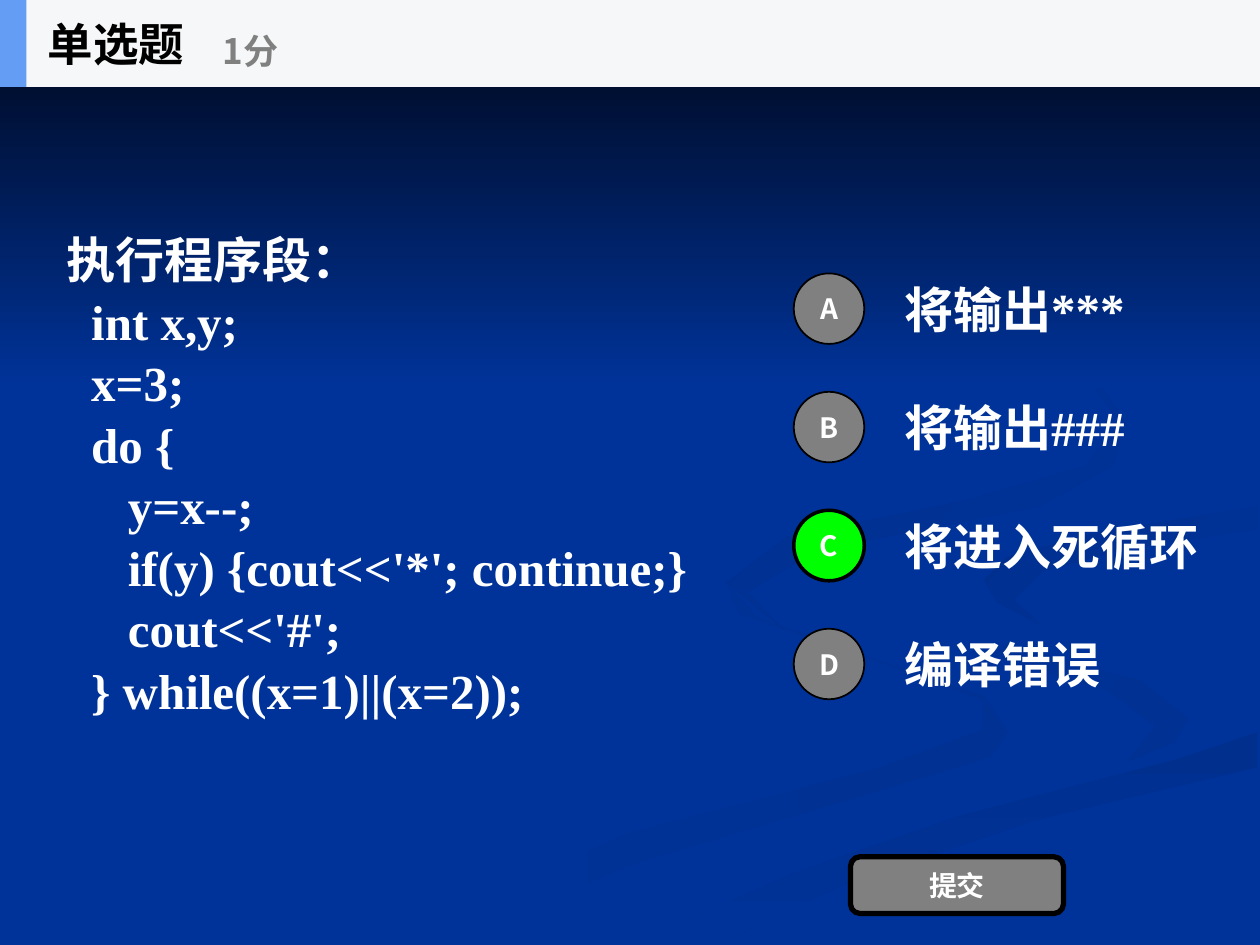
"""Build a single-choice quiz slide about a C++ do-while loop."""
from dataclasses import dataclass

from lxml.etree import SubElement
from pptx import Presentation
from pptx.dml.color import RGBColor
from pptx.enum.shapes import MSO_SHAPE as Preset
from pptx.enum.text import MSO_ANCHOR as Anchor, MSO_AUTO_SIZE as AutoSize, PP_ALIGN as Align
from pptx.oxml.ns import qn
from pptx.util import Inches, Pt

COLORS = {
    "background": "003399", "night": "000514", "shade": "002F8E",
    "mist": "003193", "white": "FFFFFF", "black": "000000", "gray": "808080",
    "correct": "00FF00", "header": "F6F7F8", "accent": "639EF4",
}
SANS, SERIF = "Noto Sans CJK SC", "Times New Roman"

CODE = [
    "执行程序段：",
    "  int x,y;",
    "  x=3;",
    "  do {",
    "     y=x--;",
    "     if(y) {cout<<'*'; continue;}",
    "     cout<<'#';",
    "  } while((x=1)||(x=2));",
]


@dataclass
class Option:
    letter: str
    answer: str
    correct: bool = False


@dataclass
class Style:
    size: float
    color: str
    font: str = SANS
    align: Align = Align.LEFT


@dataclass
class Ribbon:
    """A curved band, with its outline in hundredths of an inch."""
    start: str
    end: str
    angle: int
    outline: list[tuple[int, int]]


OPTIONS = [Option("A", "将输出***"), Option("B", "将输出###"),
           Option("C", "将进入死循环", True), Option("D", "编译错误")]
CODE_STYLE = Style(28, "white", SERIF)
BUTTON_STYLE = Style(16, "white", align=Align.CENTER)

RIBBONS = [
    Ribbon("background", "mist", 0, [
        (781, 553), (682, 519), (602, 490), (575, 459), (586, 487), (697, 525),
        (781, 556), (780, 579), (699, 609), (499, 661), (300, 749), (361, 749),
        (499, 687), (676, 634), (786, 601), (800, 581)]),
    Ribbon("background", "mist", 45, [
        (943, 570), (905, 540), (792, 509), (733, 483), (724, 464), (733, 488),
        (781, 518), (880, 549), (917, 576), (894, 605), (932, 589)]),
    Ribbon("shade", "background", 90, [
        (503, 749), (571, 749), (670, 702), (821, 651), (998, 609),
        (998, 581), (936, 602), (764, 647), (630, 693)]),
    Ribbon("shade", "background", 45, [
        (781, 460), (791, 478), (826, 496), (805, 476), (828, 453),
        (896, 435), (998, 420), (998, 402), (865, 424), (799, 442)]),
    Ribbon("shade", "background", 45, [
        (683, 430), (825, 402), (883, 370), (893, 335), (864, 291), (762, 233),
        (846, 279), (889, 335), (861, 370), (763, 398), (625, 426), (577, 462),
        (622, 500), (593, 470), (649, 436)]),
    Ribbon("night", "background", 90, [(0, 0), (0, 308), (1000, 308), (1000, 0)]),
]


def rgb(name: str) -> RGBColor:
    return RGBColor.from_string(COLORS[name])


def draw_ribbon(page, ribbon: Ribbon) -> None:
    builder = page.shapes.build_freeform(*ribbon.outline[0], scale=Inches(0.01))
    builder.add_line_segments(ribbon.outline[1:], close=True)
    shape = builder.convert_to_shape()
    shape.shadow.inherit = False
    shape.line.fill.background()
    shape.fill.gradient()
    shape.fill.gradient_angle = (360 - ribbon.angle) % 360
    for stop, color, position in zip(shape.fill.gradient_stops, (ribbon.start, ribbon.end), (0, 1)):
        stop.color.rgb = rgb(color)
        stop.position = position


def write(box, lines: list[str], style: Style) -> None:
    frame = box.text_frame
    frame.text = "\n".join(lines)
    frame.word_wrap = True
    frame.auto_size = AutoSize.NONE
    frame.vertical_anchor = Anchor.MIDDLE
    for index, para in enumerate(frame.paragraphs):
        para.alignment = style.align
        para.space_before = Pt(1.5 if index else 0)
        for span in para.runs:
            span.font.size = Pt(style.size)
            span.font.bold = True
            span.font.color.rgb = rgb(style.color)
            span.font.name = style.font
            SubElement(span.font._element, qn("a:ea"), typeface=SANS)


def fill_placeholder(page, box, lines: list[str], style: Style,
                     left: float, top: float, width: float, height: float) -> None:
    box.left, box.top, box.width, box.height = map(Inches, (left, top, width, height))
    write(box, lines, style)
    for para in box.text_frame.paragraphs:
        properties = para._p.get_or_add_pPr()
        properties.set("marL", "0")
        properties.set("indent", "0")
        SubElement(properties, qn("a:buNone"))
    page.shapes._spTree.append(box._element)


def add_label(page, text: str, style: Style,
              left: float, top: float, width: float, height: float) -> None:
    box = page.shapes.add_textbox(*map(Inches, (left, top, width, height)))
    write(box, [text], style)


def add_block(page, preset: Preset, fill: str, left: float, top: float,
              width: float, height: float, line: float = 0, text: str = "") -> None:
    shape = page.shapes.add_shape(preset, *map(Inches, (left, top, width, height)))
    shape.shadow.inherit = False
    shape.fill.solid()
    shape.fill.fore_color.rgb = rgb(fill)
    if line:
        shape.line.color.rgb = rgb("black")
        shape.line.width = Pt(line)
    else:
        shape.line.fill.background()
    if text:
        write(shape, [text], BUTTON_STYLE)


def add_option(page, option: Option, top: float) -> None:
    add_label(page, option.answer, CODE_STYLE, 7.08, top, 2.8, 0.7)
    fill, line = ("correct", 2) if option.correct else ("gray", 1)
    add_block(page, Preset.OVAL, fill, 6.3, top + 0.07, 0.56, 0.56, line, option.letter)


def main() -> None:
    deck = Presentation()
    deck.slide_width, deck.slide_height = Inches(10), Inches(7.5)
    page = deck.slides.add_slide(deck.slide_layouts[1])
    page.background.fill.solid()
    page.background.fill.fore_color.rgb = rgb("background")
    title, body = page.placeholders
    for ribbon in RIBBONS:
        draw_ribbon(page, ribbon)
    fill_placeholder(page, body, CODE, CODE_STYLE, 0.43, 0.67, 5.75, 6.19)
    for index, option in enumerate(OPTIONS):
        add_option(page, option, 2.1 + 0.94 * index)
    add_block(page, Preset.ROUNDED_RECTANGLE, "gray", 6.75, 6.8, 1.69, 0.45, 3, "提交")
    add_block(page, Preset.RECTANGLE, "header", 0, 0, 10, 0.69)
    add_block(page, Preset.RECTANGLE, "accent", 0, 0, 0.21, 0.69)
    fill_placeholder(page, title, ["单选题"], Style(26, "black"), 0.28, 0, 2.08, 0.69)
    add_label(page, "1分", Style(20, "gray"), 1.67, 0.12, 2.5, 0.56)
    deck.save("out.pptx")


if __name__ == "__main__":
    main()
